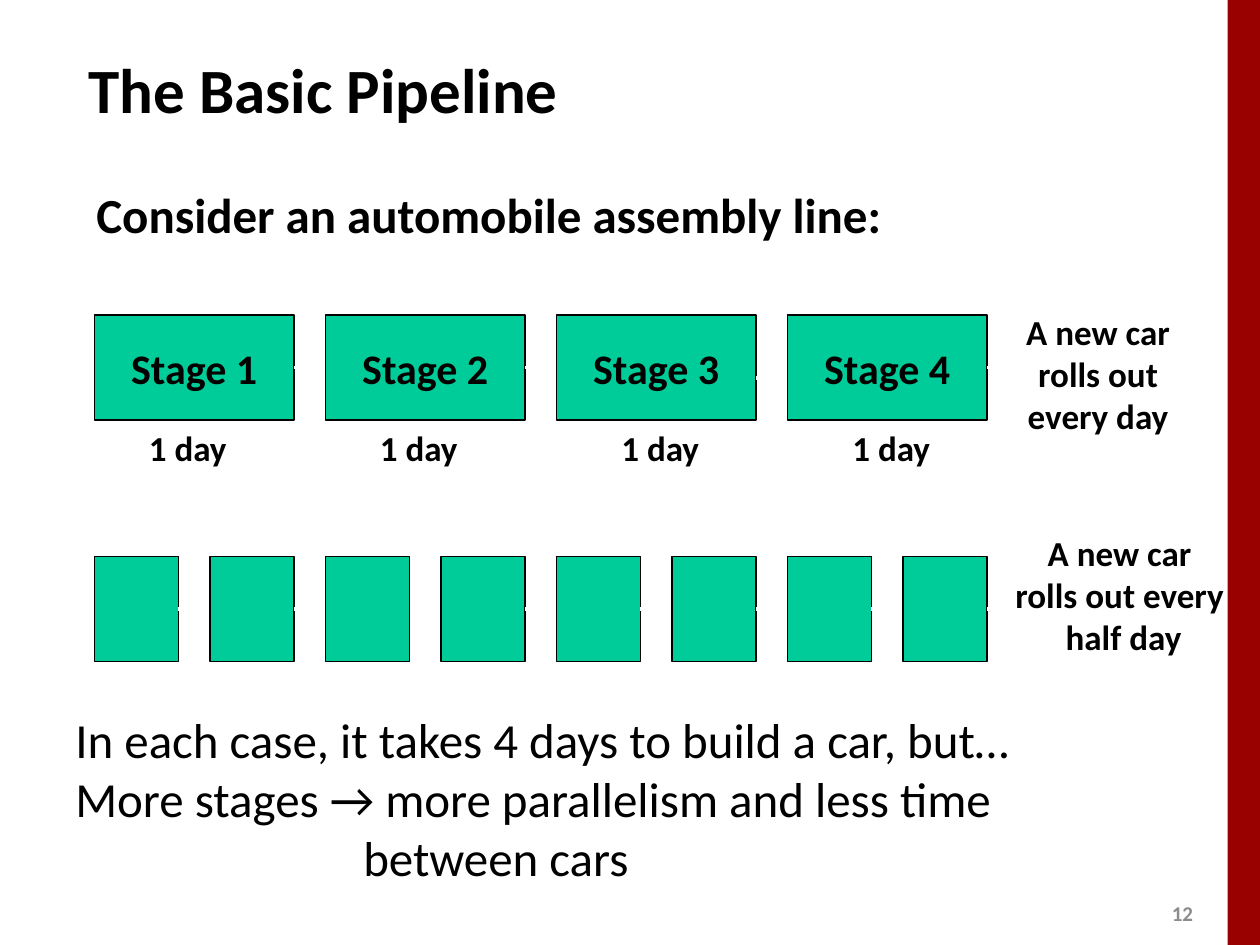
from lxml.etree import SubElement
from pptx import Presentation
from pptx.dml.color import RGBColor
from pptx.enum.shapes import MSO_CONNECTOR, MSO_SHAPE
from pptx.enum.text import MSO_ANCHOR, PP_ALIGN
from pptx.oxml.ns import qn
from pptx.util import Pt

COLORS = {"black": "000000", "white": "FFFFFF", "green": "00CC99",
          "red": "990000", "gray": "8C8C8C"}
GAP = 18
BOX_HEIGHT = 60


def color(name):
    return RGBColor.from_string(COLORS[name])


def write(frame, lines, size, bold=True, ink="black", align=PP_ALIGN.LEFT,
          anchor=MSO_ANCHOR.TOP, wrap=False, last_indent=0):
    """Fill a text frame; last_indent moves the last line to the right."""
    frame.word_wrap = wrap
    frame.vertical_anchor = anchor
    for index, line in enumerate(lines):
        para = frame.paragraphs[0] if index == 0 else frame.add_paragraph()
        para.text = line
        para.alignment = align
        para.font.name = "Calibri"
        para.font.size = Pt(size)
        para.font.bold = bold
        para.font.color.rgb = color(ink)
    if last_indent:
        para._p.get_or_add_pPr().set("marL", str(Pt(last_indent)))


def add_text(page, left, top, width, height, lines, size, **style):
    box = page.shapes.add_textbox(Pt(left), Pt(top), Pt(width), Pt(height))
    write(box.text_frame, lines, size, **style)


def add_box(page, left, top, width, height, fill, outlined=True):
    box = page.shapes.add_shape(MSO_SHAPE.RECTANGLE, Pt(left), Pt(top), Pt(width), Pt(height))
    box.shadow.inherit = False
    box.fill.solid()
    box.fill.fore_color.rgb = color(fill)
    if outlined:
        box.line.color.rgb = color("black")
        box.line.width = Pt(0.75)
    else:
        box.line.fill.background()
    return box


def add_arrow(page, left, y):
    """Draw an arrow across the gap that starts at left."""
    arrow = page.shapes.add_connector(MSO_CONNECTOR.STRAIGHT, Pt(left), Pt(y), Pt(left + GAP), Pt(y))
    arrow.line.color.rgb = color("white")
    arrow.line.width = Pt(2.25)
    SubElement(arrow.line._get_or_add_ln(), qn("a:tailEnd"), type="triangle")
    SubElement(arrow._element.spPr, qn("a:effectLst"))


def add_day_stages(page, left, top):
    width = 114
    # Offsets from each stage: day label across, arrow down
    offsets = [(24, 30), (24, 30), (30, 36), (30, 30)]
    for index, (label_x, arrow_y) in enumerate(offsets):
        x = left + index * (width + GAP)
        stage = add_box(page, x, top, width, BOX_HEIGHT, "green")
        write(stage.text_frame, [f"Stage {index + 1}"], 24,
              align=PP_ALIGN.CENTER, anchor=MSO_ANCHOR.MIDDLE)
        add_text(page, x + label_x, top + BOX_HEIGHT, 59, 31.5, ["1 day"], 20)
        add_arrow(page, x + width, top + arrow_y)
    add_text(page, left + 525, top - 6, 97, 80, ["A new car", "rolls out", "every day"], 20,
             align=PP_ALIGN.CENTER)


def add_half_day_stages(page, left, top):
    width = 48
    for index in range(8):
        x = left + index * (width + GAP)
        add_box(page, x, top, width, BOX_HEIGHT, "green")
        add_arrow(page, x + width, top + BOX_HEIGHT / 2)
    add_text(page, left + 518.5, top - 18, 134.5, 80,
             ["A new car", "rolls out every", "half day"], 20,
             align=PP_ALIGN.CENTER, last_indent=4.5)


def add_conclusion(page, left, top):
    add_text(page, left, top, 567, 108.5,
             ["In each case, it takes 4 days to build a car, but…",
              "More stages → more parallelism and less time",
              "between cars"], 28, bold=False, wrap=True, last_indent=164.5)


def add_frame(page, width, height):
    """Place the side bar, page number and headings."""
    bar = 18.5
    add_box(page, width - bar, 0, bar, height, "red", outlined=False)
    add_text(page, 662.5, 511, 29, 22, ["12"], 12, ink="gray", anchor=MSO_ANCHOR.MIDDLE)
    add_text(page, 43.5, 25, 286, 51, ["The Basic Pipeline"], 36, anchor=MSO_ANCHOR.MIDDLE)
    add_text(page, 48, 102, 468, 41, ["Consider an automobile assembly line:"], 28)


def main():
    width, height = 720, 540
    deck = Presentation()
    deck.slide_width, deck.slide_height = Pt(width), Pt(height)
    page = deck.slides.add_slide(deck.slide_layouts[6])
    add_frame(page, width, height)
    add_day_stages(page, 54, 180)
    add_half_day_stages(page, 54, 318)
    add_conclusion(page, 36, 402)
    deck.save("out.pptx")


if __name__ == "__main__":
    main()
